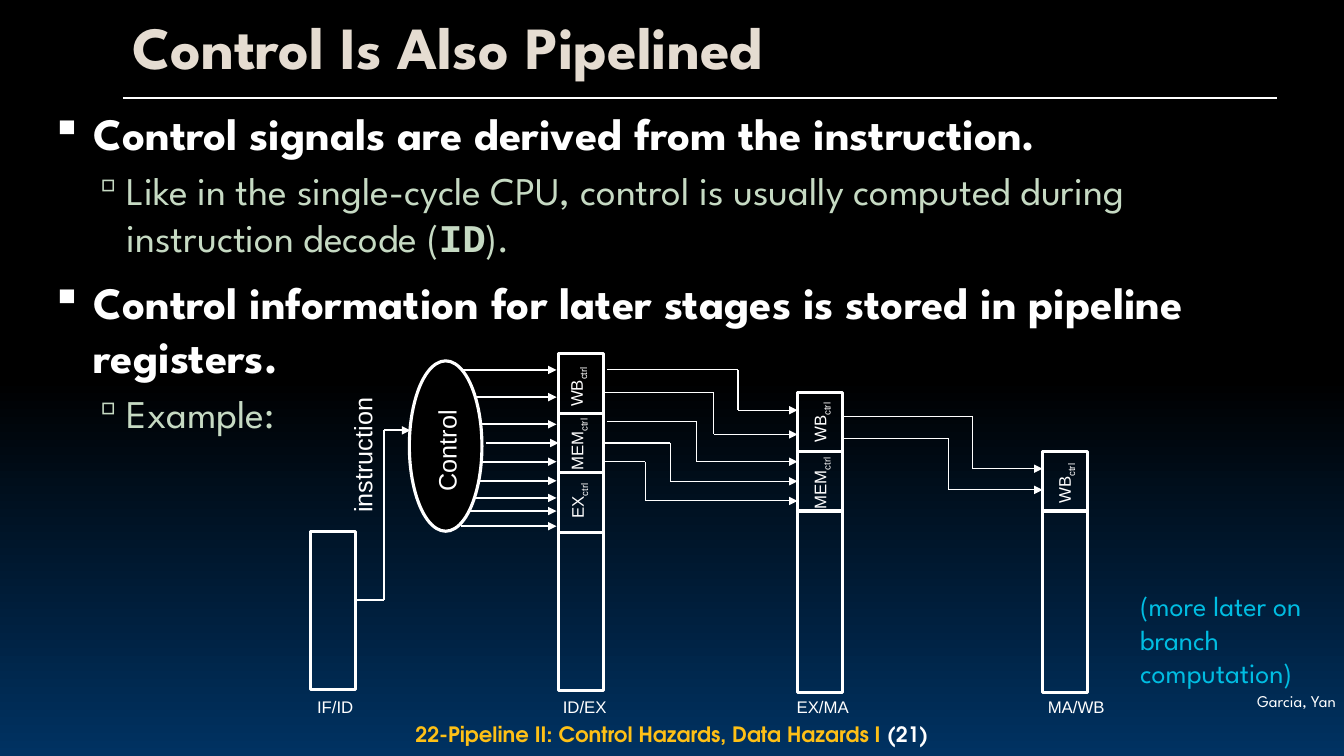
from copy import deepcopy
from dataclasses import dataclass
from itertools import pairwise
from typing import Any

from lxml.etree import SubElement
from pptx import Presentation
from pptx.dml.color import RGBColor as RGB
from pptx.enum.shapes import MSO_CONNECTOR as CONN, MSO_SHAPE as SHAPE
from pptx.enum.text import MSO_ANCHOR as ANCHOR, PP_ALIGN as ALIGN
from pptx.oxml.ns import qn
from pptx.util import Inches, Pt


@dataclass(frozen=True)
class Theme:
    white: str = "FFFFFF"
    black: str = "000000"
    navy: str = "003262"
    sand: str = "E5DCD1"
    sage: str = "C6DAC3"
    gold: str = "FEC016"
    cyan: str = "00BDE2"
    heading: str = "League Spartan"
    code: str = "Courier New"
    footer: str = "TeX Gyre Adventor"
    diagram: str = "Arial"
    title_pt: float = 42.7
    point_pt: float = 32
    detail_pt: float = 28
    note_pt: float = 20
    big_label_pt: float = 18
    label_pt: float = 12
    footer_pt: float = 15.1
    author_pt: float = 11.7
    frame_line: float = 2.25
    line: float = 1.5
    thin_line: float = 0.75


T = Theme()
CELL_W, CELL_H = 0.45, 0.59


@dataclass(frozen=True)
class Run:
    text: str
    size: float
    font: str = T.heading
    color: str = T.white
    bold: bool = False
    baseline: int = 0


@dataclass(frozen=True)
class Level:
    bullet: str
    bullet_pct: int
    margin: float
    indent: float
    space_before: float


@dataclass(frozen=True)
class Cell:
    signal: str
    label_box: tuple[float, float, float, float]


@dataclass(frozen=True)
class Register:
    name: str
    left: float
    top: float
    height: float
    name_left: float
    name_width: float
    cells: tuple[Cell, ...] = ()  # from the bottom up


@dataclass(frozen=True)
class Route:
    points: tuple[tuple[float, float], ...]
    width: float = T.thin_line
    arrow: bool = True
    begin: str = ""  # cell joined at its right side
    end: str = ""  # cell joined at its left side


POINT = Level("▪", 95, 0.51, -0.42, 10)
DETAIL = Level("▫", 90, 0.84, -0.34, 5)


def point(text: str) -> Run:
    return Run(text, T.point_pt, bold=True)


def detail(text: str, font: str = T.heading, bold: bool = False) -> Run:
    return Run(text, T.detail_pt, font, T.sage, bold)


BODY = [
    (POINT, [point("Control signals are derived from the instruction.")]),
    (DETAIL, [detail("Like in the single-cycle CPU, control is usually computed "
                     "during instruction decode ("),
              detail("ID", T.code, True), detail(").")]),
    (POINT, [point("Control information for later stages is stored in pipeline registers.")]),
    (DETAIL, [detail("Example:")]),
]
REGISTERS = [
    Register("IF/ID", 3.08, 5.27, 1.57, 2.93, 0.79),
    Register("ID/EX", 5.54, 5.28, 1.57, 5.36, 0.88, (
        Cell("EX", (5.41, 4.78, 0.63, 0.3)),
        Cell("MEM", (5.33, 4.23, 0.78, 0.3)),
        Cell("WB", (5.39, 3.66, 0.65, 0.3)))),
    Register("EX/MA", 7.91, 5.07, 1.8, 7.65, 1.02, (
        Cell("MEM", (7.73, 4.6, 0.8, 0.3)),
        Cell("WB", (7.8, 4.01, 0.66, 0.3)))),
    Register("MA/WB", 10.34, 5.07, 1.8, 10.11, 1.13, (
        Cell("WB", (10.22, 4.61, 0.67, 0.3)),)),
]
ID_MEM, EX_MEM = "ID/EX MEM", "EX/MA MEM"
ID_MEM_MID = REGISTERS[1].top - 1.5 * CELL_H
EX_MEM_MID = REGISTERS[2].top - 0.5 * CELL_H
CONTROL_OUT = [(4.56, 3.67), (4.7, 3.94), (4.73, 4.21), (4.71, 4.58), (4.73, 4.77),
               (4.71, 4.94), (4.66, 5.07), (4.57, 5.22)]


def elbow(x1: float, y1: float, bend: float, x2: float, y2: float, **joins: str) -> Route:
    return Route(((x1, y1), (bend, y1), (bend, y2), (x2, y2)), **joins)


ROUTES = [
    Route(((3.53, 5.95), (3.81, 5.95), (3.81, 4.27), (4.07, 4.27)), T.line),
    *(Route(((x, y), (5.52, y)), T.line) for x, y in CONTROL_OUT),
    Route(((4.82, ID_MEM_MID), (5.54, ID_MEM_MID)), T.line, end=ID_MEM),
    elbow(6.02, 3.67, 7.32, 7.91, 4.07),
    elbow(6, 3.89, 7.08, 7.91, 4.31),
    elbow(6.02, 4.18, 6.91, 7.91, 4.58),
    elbow(5.99, ID_MEM_MID, 6.65, 7.91, EX_MEM_MID, begin=ID_MEM, end=EX_MEM),
    elbow(6, 4.58, 6.4, 7.91, 4.97),
    elbow(8.36, 4.13, 9.65, 10.34, 4.65),
    elbow(8.36, 4.35, 9.41, 10.34, 4.86),
]


def set_attrs(obj: Any, **values: Any) -> None:
    for name, value in values.items():
        setattr(obj, name, value)


def add_runs(p: Any, runs: list[Run]) -> None:
    for run in runs:
        r = p.add_run()
        r.text = run.text
        set_attrs(r.font, name=run.font, size=Pt(run.size), bold=run.bold)
        r.font.color.rgb = RGB.from_string(run.color)
        if run.baseline:
            r.font._element.set("baseline", str(run.baseline * 1000))


def add_text(s: Any, box: tuple[float, ...], runs: list[Run], align: Any = ALIGN.LEFT,
             anchor: Any = ANCHOR.TOP, rotation: float = 0) -> Any:
    sp = s.shapes.add_textbox(*map(Inches, box))
    sp.rotation = rotation
    set_attrs(sp.text_frame, word_wrap=True, vertical_anchor=anchor)
    p = sp.text_frame.paragraphs[0]
    p.alignment = align
    add_runs(p, runs)
    return sp


def add_body(s: Any) -> None:
    tf = add_text(s, (0.32, 1, 12.07, 3.51), []).text_frame
    for i, (level, runs) in enumerate(BODY):
        p = tf.add_paragraph() if i else tf.paragraphs[0]
        pPr = p._p.get_or_add_pPr()
        pPr.set("marL", str(Inches(level.margin)))
        pPr.set("indent", str(Inches(level.indent)))
        SubElement(pPr, qn("a:buSzPct"), val=str(level.bullet_pct * 1000))
        SubElement(pPr, qn("a:buChar"), char=level.bullet)
        if i:
            p.space_before = Pt(level.space_before)
        add_runs(p, runs)


def add_frame(s: Any, kind: Any, box: tuple[float, ...], fill: str = "") -> Any:
    sp = s.shapes.add_shape(kind, *map(Inches, box))
    sp.shadow.inherit = False
    if fill:
        sp.fill.solid()
        sp.fill.fore_color.rgb = RGB.from_string(fill)
    else:
        sp.fill.background()
    sp.line.color.rgb = RGB.from_string(T.white)
    sp.line.width = Pt(T.frame_line)
    return sp


def add_route(s: Any, route: Route, cells: dict[str, Any]) -> None:
    lines = []
    for start, end in pairwise(route.points):
        c = s.shapes.add_connector(CONN.STRAIGHT, *map(Inches, (*start, *end)))
        c.line.color.rgb = RGB.from_string(T.white)
        c.line.width = Pt(route.width)
        SubElement(c._element.spPr, qn("a:effectLst"))
        lines.append(c)
    if route.arrow:
        SubElement(lines[-1].line._get_or_add_ln(), qn("a:tailEnd"), type="triangle")
    if route.begin:
        lines[0].begin_connect(cells[route.begin], 3)
    if route.end:
        lines[-1].end_connect(cells[route.end], 1)


def add_register(s: Any, reg: Register) -> dict[str, Any]:
    """Draw a register with its control cells; return the cells by name."""
    add_frame(s, SHAPE.RECTANGLE, (reg.left, reg.top, CELL_W, reg.height))
    label = Run(reg.name, T.label_pt, T.diagram)
    add_text(s, (reg.name_left, 6.86, reg.name_width, 0.3), [label], ALIGN.CENTER)
    cells = {}
    for i, cell in enumerate(reg.cells, 1):
        box = (reg.left, reg.top - i * CELL_H, CELL_W, CELL_H)
        cells[f"{reg.name} {cell.signal}"] = add_frame(s, SHAPE.RECTANGLE, box)
        runs = [Run(cell.signal, T.label_pt, T.diagram),
                Run("ctrl", T.label_pt, T.diagram, baseline=-25)]
        add_text(s, cell.label_box, runs, rotation=270)
    return cells


def add_diagram(s: Any) -> None:
    cells: dict[str, Any] = {}
    for reg in REGISTERS:
        cells |= add_register(s, reg)
    for route in ROUTES:
        add_route(s, route, cells)
    add_frame(s, SHAPE.OVAL, (4.06, 3.58, 0.72, 1.69), T.black)
    add_text(s, (2.87, 4.05, 1.66, 0.61), [Run("instruction", T.big_label_pt, T.diagram)],
             rotation=270)
    add_text(s, (3.82, 4.27, 1.22, 0.4), [Run("Control", T.big_label_pt, T.diagram)],
             ALIGN.CENTER, ANCHOR.MIDDLE, 270)


def set_background(s: Any) -> None:
    fill = s.background.fill
    fill.gradient()
    fill.gradient_angle = 270
    for stop, color, position in zip(fill.gradient_stops, (T.black, T.navy), (0, 1)):
        stop.color.rgb = RGB.from_string(color)
        stop.position = position
    first = s.background._cSld.find(".//" + qn("a:gs"))
    middle = deepcopy(first)
    middle.set("pos", "50000")
    first.addnext(middle)


def add_title(s: Any) -> None:
    sp = s.shapes.title
    set_attrs(sp, left=Inches(1.21), top=Inches(0.08), width=Inches(11.49), height=Inches(0.84))
    set_attrs(sp.text_frame, word_wrap=True, vertical_anchor=ANCHOR.MIDDLE)
    p = sp.text_frame.paragraphs[0]
    set_attrs(p, alignment=ALIGN.LEFT, line_spacing=0.9)
    add_runs(p, [Run("Control Is Also Pipelined", T.title_pt, color=T.sand, bold=True)])


def main() -> None:
    prs = Presentation()
    set_attrs(prs, slide_width=Inches(13.33), slide_height=Inches(7.5))
    s = prs.slides.add_slide(prs.slide_layouts[5])
    set_background(s)
    add_title(s)
    add_route(s, Route(((1.22, 0.97), (12.67, 0.97)), T.line, arrow=False), {})
    add_body(s)
    add_diagram(s)
    add_text(s, (11.21, 5.79, 1.82, 1.11),
             [Run("(more later on branch computation)", T.note_pt, color=T.cyan)])
    author = add_text(s, (11.89, 6.83, 1.44, 0.26), [Run("Garcia, Yan", T.author_pt)], ALIGN.RIGHT)
    set_attrs(author.text_frame, margin_left=Inches(0.08), margin_right=Inches(0.08),
              margin_top=Inches(0.03), margin_bottom=Inches(0.03))
    add_text(s, (2.45, 7.12, 8.43, 0.32),
             [Run("22-Pipeline II: Control Hazards, Data Hazards I ", T.footer_pt, T.footer,
                  T.gold, True),
              Run("(21)", T.footer_pt, T.footer, bold=True)], ALIGN.CENTER, ANCHOR.MIDDLE)
    prs.save("out.pptx")


if __name__ == "__main__":
    main()
